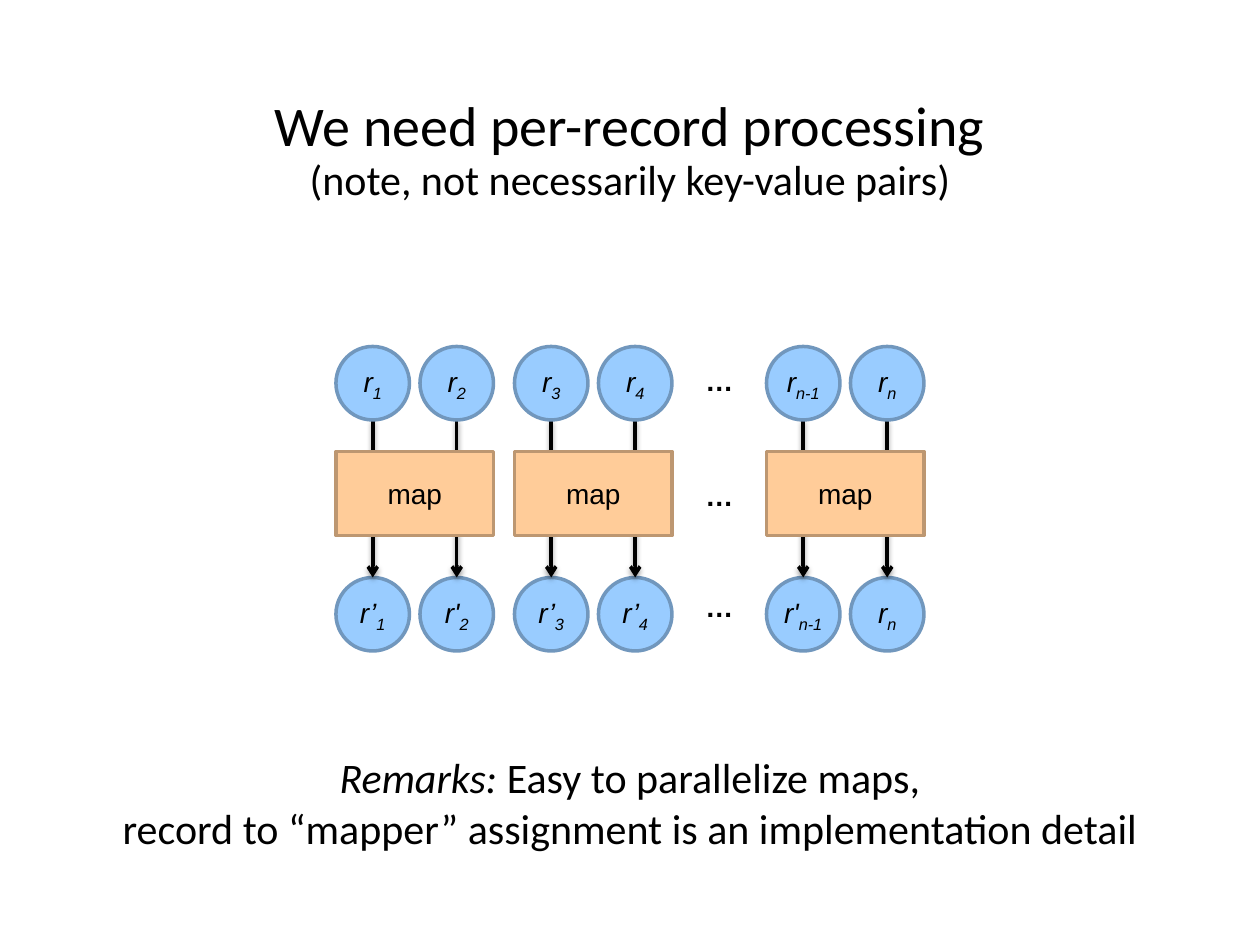
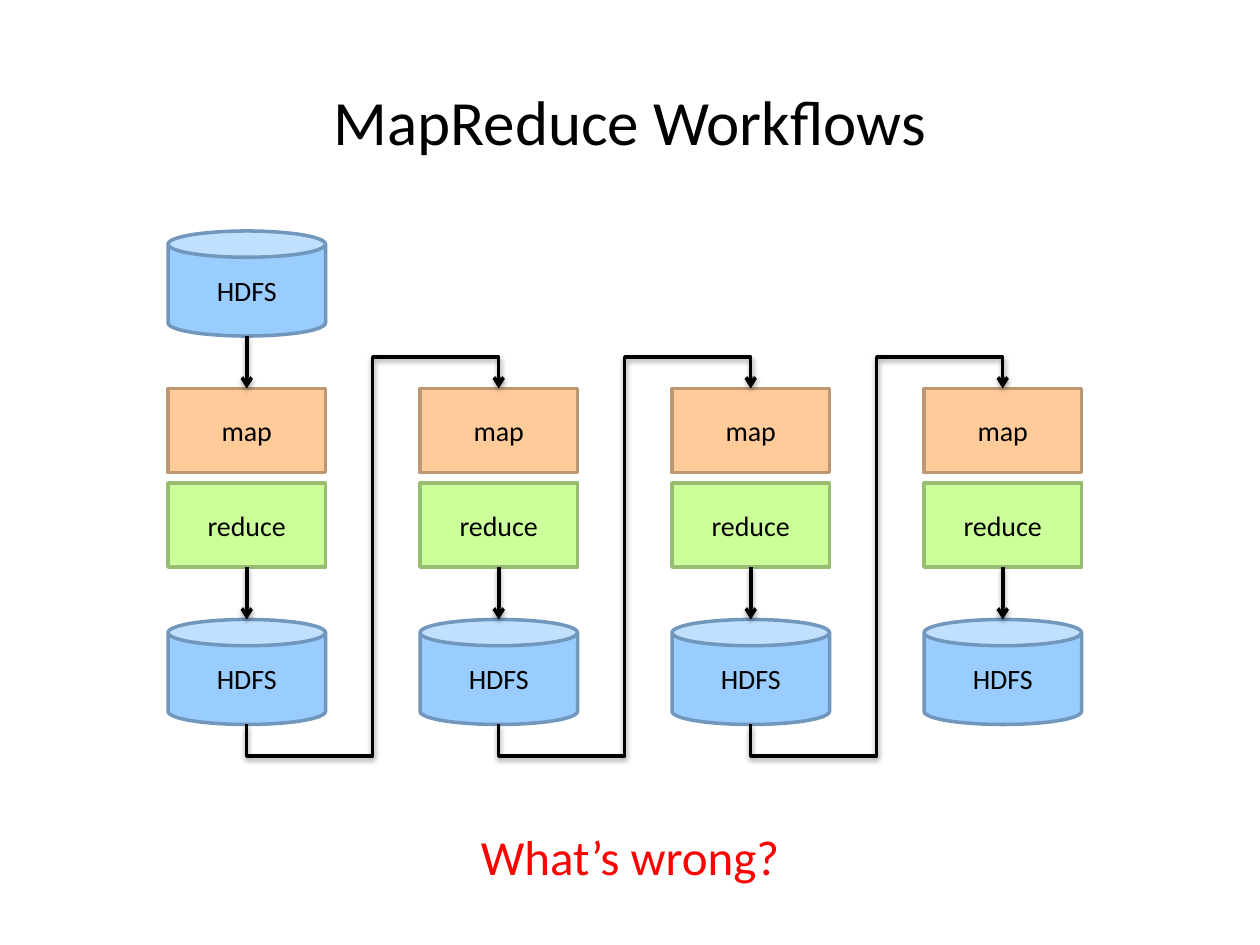
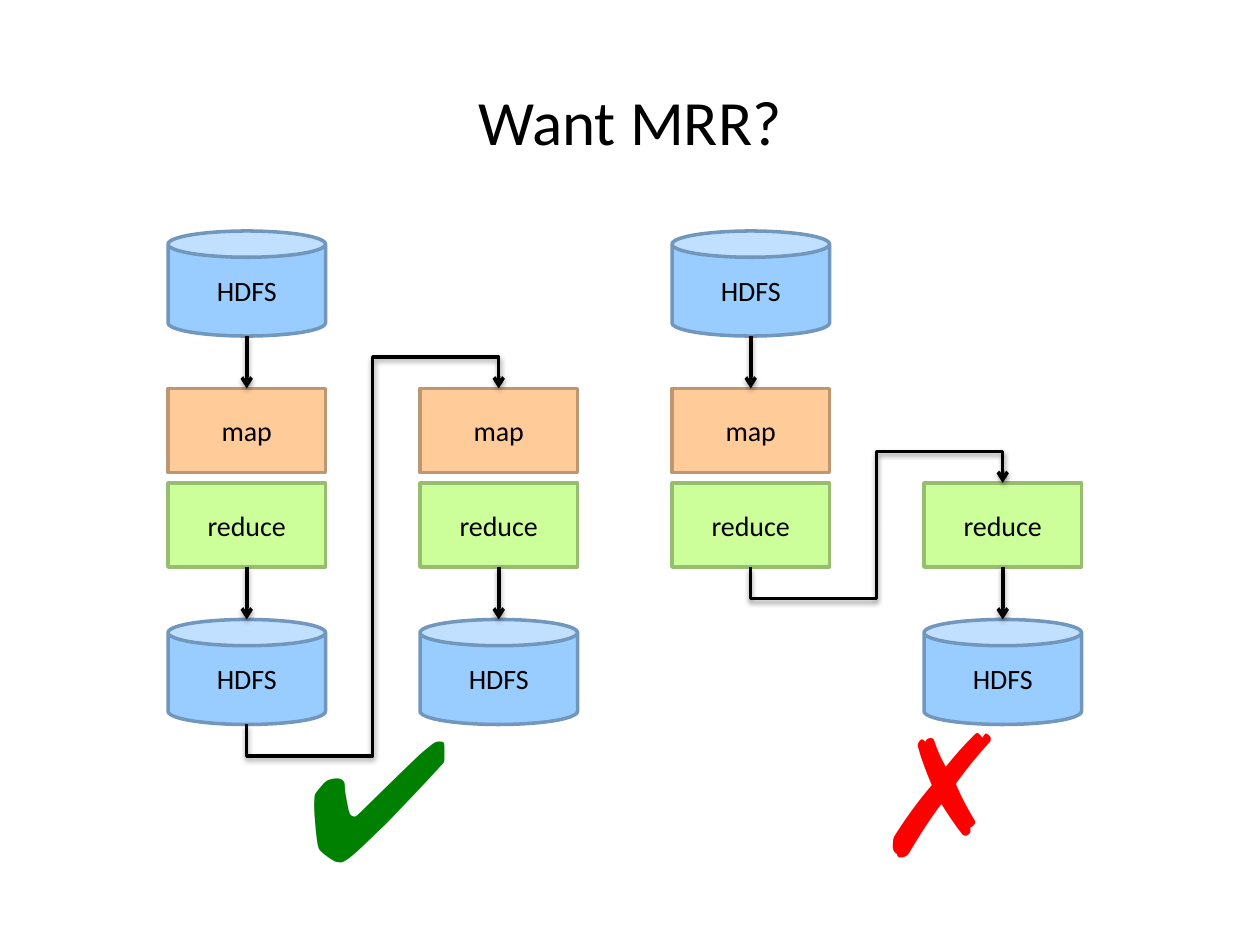
"""Builds three slides on map and reduce workflows."""
from dataclasses import dataclass
from typing import NamedTuple

import pptx
import pptx.dml.color
import pptx.enum.shapes
import pptx.enum.text
import pptx.oxml
import pptx.oxml.ns
import pptx.presentation
import pptx.shapes.connector
import pptx.slide
import pptx.text.text
import pptx.util

Pt = pptx.util.Pt
Shapes = pptx.enum.shapes.MSO_SHAPE
Anchor = pptx.enum.text.MSO_ANCHOR
Align = pptx.enum.text.PP_ALIGN
AutoSize = pptx.enum.text.MSO_AUTO_SIZE
Connectors = pptx.enum.shapes.MSO_CONNECTOR


@dataclass(frozen=True)
class Theme:
    heading_font: str = "Calibri"
    label_font: str = "Arial"
    ink: str = "000000"
    alert: str = "FF0000"
    approval: str = "008000"
    title_size: int = 36
    long_title_size: int = 32
    question_size: int = 28
    remark_size: int = 24
    label_size: int = 16
    mark_size: int = 96
    line_width: int = 2


class Style(NamedTuple):
    font: str
    size: int
    color: str = "000000"
    bold: bool = False
    italic: bool = False


class Segment(NamedTuple):
    text: str
    italic: bool = False
    subscript: bool = False


class Box(NamedTuple):
    left: float
    top: float
    width: float
    height: float


class NodeKind(NamedTuple):
    outline: Shapes
    fill: str
    line: str
    inset: bool = True


class Layer(NamedTuple):
    label: str
    kind: NodeKind
    top: float
    height: float


@dataclass(frozen=True)
class Stage:
    column: int
    layers: tuple[Layer, ...]


class Pair(NamedTuple):
    left: float
    inputs: tuple[tuple[str, str], ...]
    outputs: tuple[tuple[str, str], ...]


THEME = Theme()
HEADING_LABEL = Style(THEME.heading_font, THEME.label_size, THEME.ink)
MAP_LABEL = Style(THEME.label_font, THEME.label_size, THEME.ink)
RECORD_LABEL = MAP_LABEL._replace(italic=True)
ELLIPSIS = MAP_LABEL._replace(bold=True)
REMARK = Style(THEME.heading_font, THEME.remark_size, THEME.ink)

RECORD = NodeKind(Shapes.OVAL, "99CCFF", "7197BD", inset=False)
STORE = NodeKind(Shapes.CAN, "99CCFF", "7197BD")
MAPPER = NodeKind(Shapes.RECTANGLE, "FFCC99", "BD9771")
REDUCER = NodeKind(Shapes.RECTANGLE, "CCFF99", "97BD71")

SLIDE_WIDTH, SLIDE_HEIGHT = 720, 540
NODE_WIDTH, NODE_HEIGHT = 90, 48
COLUMN_LEFT, COLUMN_STEP = 96, 144
ELBOW_REACH = 18
SOURCE = Layer("HDFS", STORE, 132, 60)
MAP = Layer("map", MAPPER, 222, NODE_HEIGHT)
REDUCE = Layer("reduce", REDUCER, 276, NODE_HEIGHT)
SINK = Layer("HDFS", STORE, 354, 60)
ARROW_LAYERS = ((SOURCE, MAP), (REDUCE, SINK))

RECORD_SIZE, RECORD_STEP = 42, 48
INPUT_TOP, MAP_TOP, OUTPUT_TOP = 198, 258, 330
PAIRS = (
    Pair(192, (("r", "1"), ("r", "2")), (("r’", "1"), ("r'", "2"))),
    Pair(294, (("r", "3"), ("r", "4")), (("r’", "3"), ("r’", "4"))),
    Pair(438, (("r", "n-1"), ("r", "n")), (("r'", "n-1"), ("r", "n"))),
)


def rgb(color: str) -> pptx.dml.color.RGBColor:
    return pptx.dml.color.RGBColor.from_string(color)


def write(paragraph: pptx.text.text._Paragraph, segments: tuple[Segment, ...],
          style: Style) -> None:
    paragraph.alignment = Align.CENTER
    font = paragraph.font
    font.name, font.size, font.bold = style.font, Pt(style.size), style.bold
    font.italic = style.italic
    font.color.rgb = rgb(style.color)
    for segment in segments:
        for index, line in enumerate(segment.text.split("\n")):
            if index:
                paragraph.add_line_break()
            run = paragraph.add_run()
            run.text = line
            if segment.italic:
                run.font.italic = True
            if segment.subscript:
                run._r.get_or_add_rPr().set("baseline", "-25000")


def add_titled_slide(presentation: pptx.presentation.Presentation, title: str,
                     size: int = THEME.title_size,
                     box: Box = Box(0, 42, SLIDE_WIDTH, 54)) -> pptx.slide.Slide:
    slide = presentation.slides.add_slide(presentation.slide_layouts[5])
    shape = slide.shapes.title
    shape.left, shape.top, shape.width, shape.height = map(Pt, box)
    shape.text_frame.auto_size = AutoSize.NONE
    shape.text_frame.vertical_anchor = Anchor.MIDDLE
    write(shape.text_frame.paragraphs[0], (Segment(title),),
          Style(THEME.heading_font, size, THEME.ink))
    return slide


def add_text(slide: pptx.slide.Slide, box: Box, segments: tuple[Segment, ...],
             style: Style, wrap: bool = True) -> None:
    shape = slide.shapes.add_textbox(*map(Pt, box))
    frame = shape.text_frame
    frame.word_wrap = wrap
    frame.auto_size = AutoSize.SHAPE_TO_FIT_TEXT
    write(frame.paragraphs[0], segments, style)
    if not wrap:
        frame.paragraphs[0].alignment = Align.LEFT


def add_node(slide: pptx.slide.Slide, kind: NodeKind, box: Box,
             segments: tuple[Segment, ...], style: Style) -> None:
    shape = slide.shapes.add_shape(kind.outline, *map(Pt, box))
    shape.shadow.inherit = False
    shape.fill.solid()
    shape.fill.fore_color.rgb = rgb(kind.fill)
    shape.line.color.rgb = rgb(kind.line)
    shape.line.width = Pt(THEME.line_width)
    frame = shape.text_frame
    frame.word_wrap = True
    frame.vertical_anchor = Anchor.MIDDLE
    if not kind.inset:
        frame.margin_left = frame.margin_right = 0
        frame.margin_top = frame.margin_bottom = 0
    write(frame.paragraphs[0], segments, style)


def style_arrow(connector: pptx.shapes.connector.Connector) -> None:
    connector.line.color.rgb = rgb(THEME.ink)
    connector.line.width = Pt(THEME.line_width)
    namespace = pptx.oxml.ns.nsdecls("a")
    connector.line._get_or_add_ln().append(
        pptx.oxml.parse_xml(f'<a:tailEnd {namespace} type="arrow"/>'))
    connector._element.spPr.append(pptx.oxml.parse_xml(
        f'<a:effectLst {namespace}><a:outerShdw blurRad="{Pt(3.1)}" dist="{Pt(1.6)}" '
        f'dir="5400000" rotWithShape="0"><a:srgbClr val="{THEME.ink}">'
        '<a:alpha val="38000"/></a:srgbClr></a:outerShdw></a:effectLst>'))


def add_down_arrow(slide: pptx.slide.Slide, x: float, top: float, bottom: float) -> None:
    style_arrow(slide.shapes.add_connector(
        Connectors.STRAIGHT, Pt(x), Pt(top), Pt(x), Pt(bottom)))


def column_center(column: int) -> float:
    return COLUMN_LEFT + column * COLUMN_STEP + NODE_WIDTH / 2


def add_return_arrow(slide: pptx.slide.Slide, column: int, start: Layer, end: Layer) -> None:
    bottom, top = start.top + start.height, end.top
    rise = bottom - top
    middle_x = column_center(column) + COLUMN_STEP / 2
    middle_y = (top + bottom) / 2
    connector = slide.shapes.add_connector(
        Connectors.ELBOW,
        Pt(middle_x + rise / 2), Pt(middle_y + COLUMN_STEP / 2),
        Pt(middle_x - rise / 2), Pt(middle_y - COLUMN_STEP / 2))
    properties = connector._element.spPr
    properties.find(pptx.oxml.ns.qn("a:xfrm")).set("rot", "5400000")
    geometry = properties.find(pptx.oxml.ns.qn("a:prstGeom"))
    geometry.set("prst", "bentConnector5")
    overshoot = round(ELBOW_REACH / rise * 100000)
    guides = "".join(
        f'<a:gd name="adj{number}" fmla="val {value}"/>'
        for number, value in enumerate((-overshoot, 50000, 100000 + overshoot), 1))
    geometry.remove(geometry.find(pptx.oxml.ns.qn("a:avLst")))
    geometry.append(pptx.oxml.parse_xml(
        f'<a:avLst {pptx.oxml.ns.nsdecls("a")}>{guides}</a:avLst>'))
    style_arrow(connector)


def add_stage(slide: pptx.slide.Slide, stage: Stage) -> None:
    center = column_center(stage.column)
    for layer in stage.layers:
        box = Box(center - NODE_WIDTH / 2, layer.top, NODE_WIDTH, layer.height)
        add_node(slide, layer.kind, box, (Segment(layer.label),), HEADING_LABEL)
    for upper, lower in ARROW_LAYERS:
        if upper in stage.layers and lower in stage.layers:
            add_down_arrow(slide, center, upper.top + upper.height, lower.top)


def add_records(slide: pptx.slide.Slide, left: float, top: float,
                names: tuple[tuple[str, str], ...]) -> None:
    for index, (name, subscript) in enumerate(names):
        box = Box(left + index * RECORD_STEP, top, RECORD_SIZE, RECORD_SIZE)
        add_node(slide, RECORD, box,
                 (Segment(name), Segment(subscript, subscript=True)), RECORD_LABEL)


def build_record_slide(presentation: pptx.presentation.Presentation) -> None:
    slide = add_titled_slide(presentation, "We need per-record processing",
                             THEME.long_title_size, Box(0, 48, SLIDE_WIDTH, 46))
    add_text(slide, Box(0, 84, SLIDE_WIDTH, 36),
             (Segment("(note, not necessarily key-value pairs)"),), REMARK)
    for pair in PAIRS:
        add_records(slide, pair.left, OUTPUT_TOP, pair.outputs)
        for index in range(len(pair.inputs)):
            add_down_arrow(slide, pair.left + index * RECORD_STEP + RECORD_SIZE / 2,
                           INPUT_TOP + RECORD_SIZE, OUTPUT_TOP)
        add_node(slide, MAPPER, Box(pair.left, MAP_TOP, NODE_WIDTH, NODE_HEIGHT),
                 (Segment("map"),), MAP_LABEL)
        add_records(slide, pair.left, INPUT_TOP, pair.inputs)
    for top in (204, 270, 333.4):
        add_text(slide, Box(396, top, 31, 26.6), (Segment("…"),), ELLIPSIS, wrap=False)
    add_text(slide, Box(0, 426, SLIDE_WIDTH, 65.5), (
        Segment("Remarks:", italic=True),
        Segment(" Easy to parallelize maps,\n"
                "record to “mapper” assignment is an implementation detail")), REMARK)


def build_workflow_slide(presentation: pptx.presentation.Presentation) -> None:
    slide = add_titled_slide(presentation, "MapReduce Workflows")
    add_stage(slide, Stage(0, (SOURCE, MAP, REDUCE, SINK)))
    for column in range(1, 4):
        add_stage(slide, Stage(column, (MAP, REDUCE, SINK)))
        add_return_arrow(slide, column - 1, SINK, MAP)
    add_text(slide, Box(0, 468.7, SLIDE_WIDTH, 41), (Segment("What’s wrong?"),),
             Style(THEME.heading_font, THEME.question_size, THEME.alert))


def build_comparison_slide(presentation: pptx.presentation.Presentation) -> None:
    slide = add_titled_slide(presentation, "Want MRR?")
    for stage in (Stage(0, (SOURCE, MAP, REDUCE, SINK)), Stage(1, (MAP, REDUCE, SINK)),
                  Stage(2, (SOURCE, MAP, REDUCE)), Stage(3, (REDUCE, SINK))):
        add_stage(slide, stage)
    add_return_arrow(slide, 0, SINK, MAP)
    add_return_arrow(slide, 2, REDUCE, REDUCE)
    for mark, color, box in (("✔", THEME.approval, Box(168, 392.4, 96.5, 124)),
                             ("✗", THEME.alert, Box(492, 390, 71.3, 124))):
        add_text(slide, box, (Segment(mark),),
                 Style(THEME.label_font, THEME.mark_size, color, bold=True), wrap=False)


def main() -> None:
    presentation = pptx.Presentation()
    presentation.slide_width, presentation.slide_height = Pt(SLIDE_WIDTH), Pt(SLIDE_HEIGHT)
    build_record_slide(presentation)
    build_workflow_slide(presentation)
    build_comparison_slide(presentation)
    presentation.save("out.pptx")


if __name__ == "__main__":
    main()
